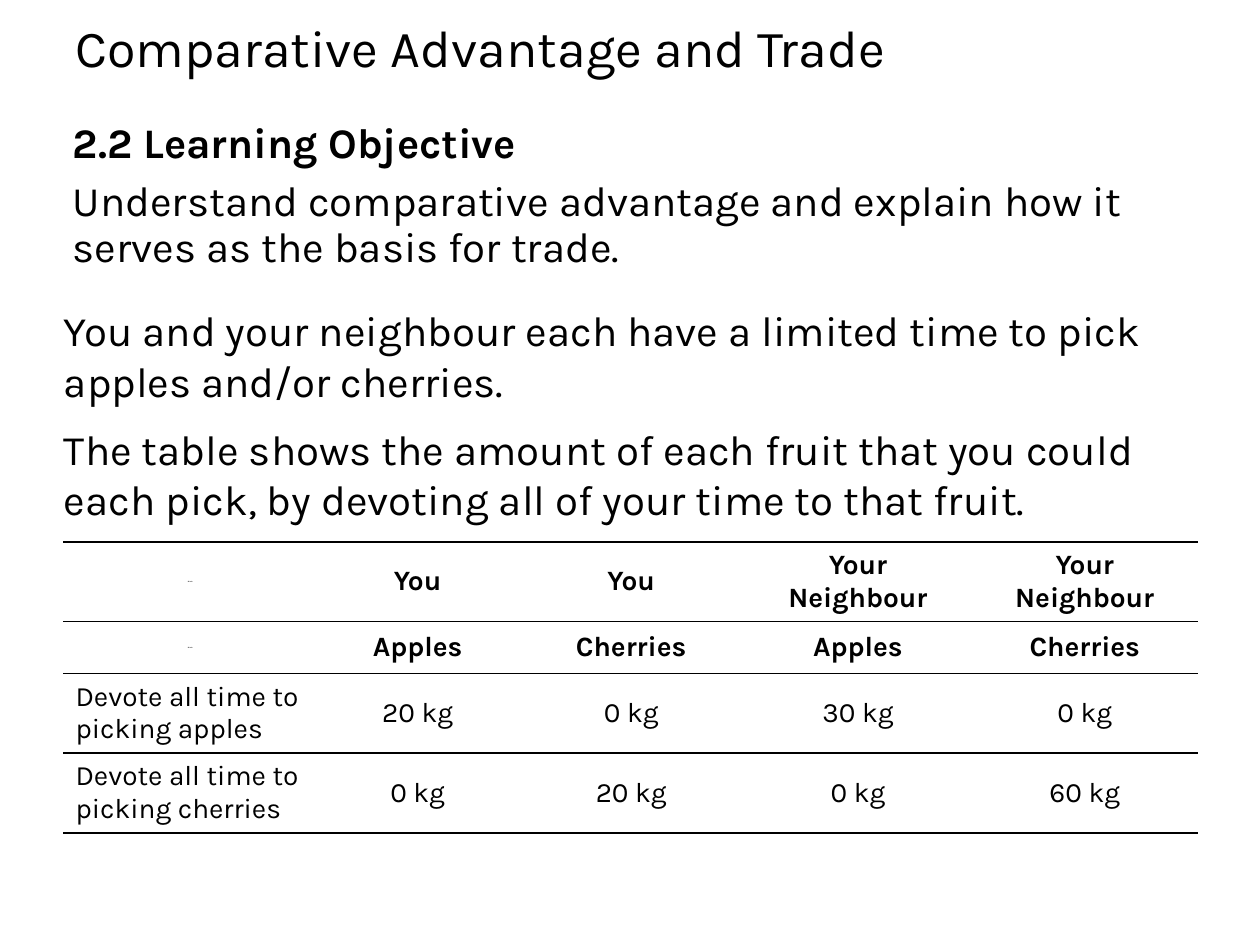
from dataclasses import dataclass

from lxml import etree
from pptx import Presentation
from pptx.dml.color import RGBColor
from pptx.enum.text import MSO_ANCHOR, PP_ALIGN
from pptx.oxml.ns import qn
from pptx.util import Inches, Pt

LEFT, CENTER = PP_ALIGN.LEFT, PP_ALIGN.CENTER
MIDDLE = MSO_ANCHOR.MIDDLE


@dataclass(frozen=True)
class Theme:
    font: str = "Karla"
    ink: str = "000000"
    title: float = 29.7
    body: float = 24
    table: float = 16
    placeholder: float = 1
    rule: float = 1


THEME = Theme()


def write(frame, *paragraphs, size=THEME.body, bold_first=False, align=LEFT,
          line_spacing=1.0, gap=0):
    """Fill a frame; gap is the space before every paragraph but the first."""
    frame.word_wrap = True
    for number, text in enumerate(paragraphs):
        paragraph = frame.paragraphs[0] if number == 0 else frame.add_paragraph()
        paragraph.alignment = align
        paragraph.line_spacing = line_spacing
        if number:
            paragraph.space_before = Pt(gap)
        run = paragraph.add_run()
        run.text = text
        run.font.name = THEME.font
        run.font.size = Pt(size)
        run.font.bold = bold_first and number == 0
        run.font.color.rgb = RGBColor.from_string(THEME.ink)


def rule_cell(cell):
    """Draw rules above and below a cell, and none at its sides."""
    cell.fill.background()
    properties = cell._tc.get_or_add_tcPr()
    for position, side in enumerate(("lnL", "lnR", "lnT", "lnB")):
        line = etree.Element(qn(f"a:{side}"), w=str(Pt(THEME.rule)))
        if side in ("lnT", "lnB"):
            solid = etree.SubElement(line, qn("a:solidFill"))
            etree.SubElement(solid, qn("a:srgbClr"), val=THEME.ink)
        else:
            etree.SubElement(line, qn("a:noFill"))
        properties.insert(position, line)


presentation = Presentation()
presentation.slide_width = Inches(10)
presentation.slide_height = Inches(7.5)
slide = presentation.slides.add_slide(presentation.slide_layouts[6])

title = slide.shapes.add_textbox(Inches(0.5), Inches(0.12), Inches(9), Inches(0.56))
title.text_frame.vertical_anchor = MIDDLE
write(title.text_frame, "Comparative Advantage and Trade",
      size=THEME.title, line_spacing=0.9)

objective = slide.shapes.add_textbox(Inches(0.48), Inches(0.92), Inches(9), Inches(1.42))
write(objective.text_frame,
      "2.2 Learning Objective",
      "Understand comparative advantage and explain how it serves as the basis for trade.",
      bold_first=True, line_spacing=0.9, gap=7.5)

scenario = slide.shapes.add_textbox(Inches(0.41), Inches(2.37), Inches(9), Inches(1.88))
write(scenario.text_frame,
      "You and your neighbour each have a limited time to pick apples and/or cherries.",
      "The table shows the amount of each fruit that you could each pick, "
      "by devoting all of your time to that fruit.",
      gap=10)

HEADER_ROWS = 2
BLANK = "Blank"
harvest = [
    [BLANK, "You", "You", "Your Neighbour", "Your Neighbour"],
    [BLANK, "Apples", "Cherries", "Apples", "Cherries"],
    ["Devote all time to picking apples", "20 kg", "0 kg", "30 kg", "0 kg"],
    ["Devote all time to picking cherries", "0 kg", "20 kg", "0 kg", "60 kg"],
]
column_widths = [2.02, 1.59, 1.8, 1.8, 1.8]
harvest_table = slide.shapes.add_table(
    len(harvest), len(column_widths),
    Inches(0.5), Inches(4.3), Inches(9), Inches(2.08)).table
harvest_table.horz_banding = False
harvest_table.first_row = False
for column, width in zip(harvest_table.columns, column_widths):
    column.width = Inches(width)

for row_number, (row, values) in enumerate(zip(harvest_table.rows, harvest)):
    row.height = Inches(0.41)
    is_header = row_number < HEADER_ROWS
    for column_number, (cell, value) in enumerate(zip(row.cells, values)):
        cell.vertical_anchor = MIDDLE
        write(cell.text_frame, value,
              size=THEME.placeholder if value == BLANK else THEME.table,
              bold_first=is_header,
              align=CENTER if is_header or column_number else LEFT)
        rule_cell(cell)

presentation.save("out.pptx")
